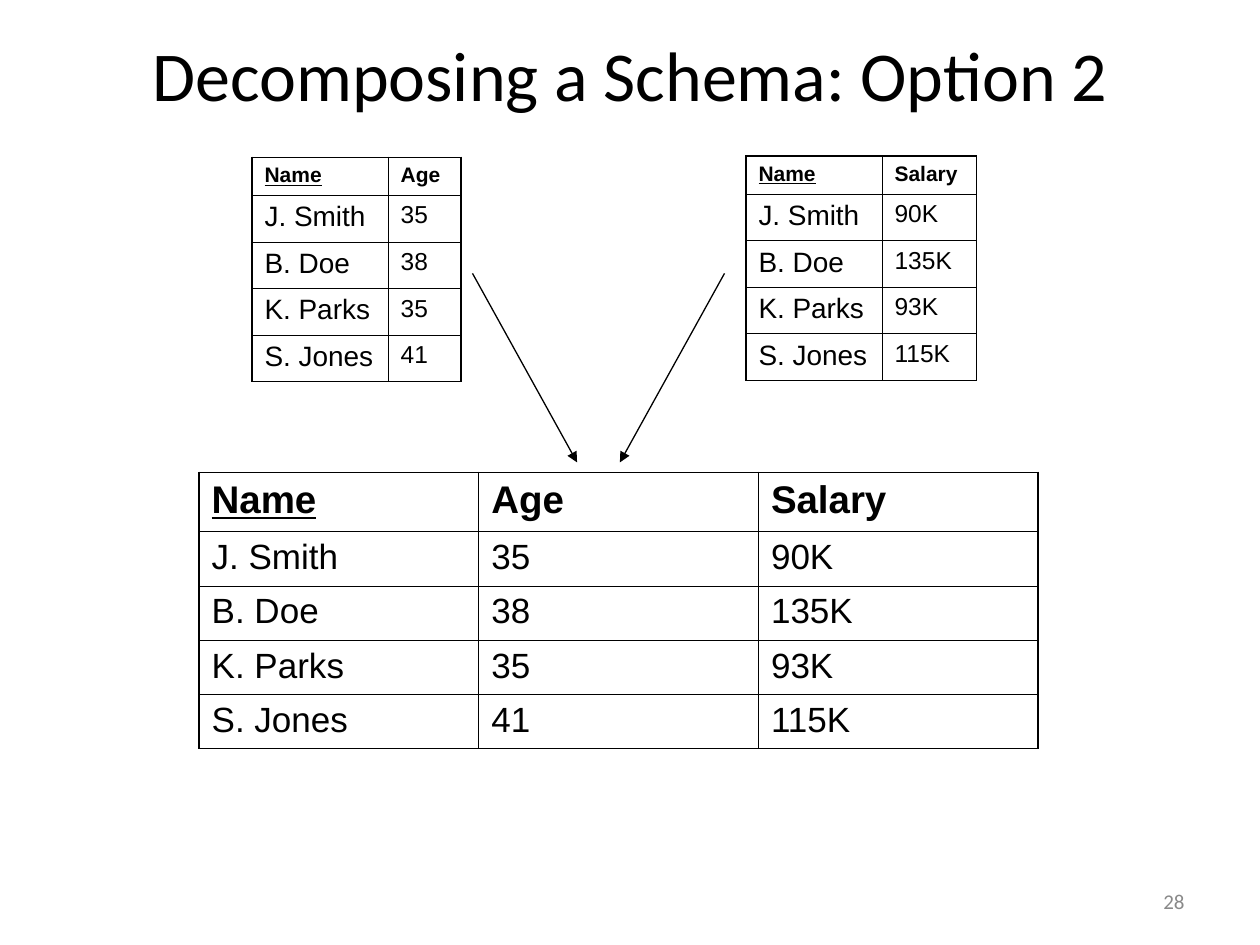
from lxml import etree
from pptx import Presentation
from pptx.dml.color import RGBColor
from pptx.enum import shapes, text
from pptx.oxml import ns
from pptx.util import Inches, Pt

BLACK, GREY = "000000", "898989"
OUTER, INNER = Pt(1.08), Pt(0.45)

PEOPLE = [
    ("Name", "Age", "Salary"),
    ("J. Smith", "35", "90K"),
    ("B. Doe", "38", "135K"),
    ("K. Parks", "35", "93K"),
    ("S. Jones", "41", "115K"),
]


def color(value):
    return RGBColor.from_string(value)


def project(*fields):
    """Keep only the named columns of the people relation."""
    columns = [PEOPLE[0].index(field) for field in fields]
    return [[row[i] for i in columns] for row in PEOPLE]


def add_run(paragraph, words, size, face, fill=BLACK):
    run = paragraph.add_run()
    run.text = words
    run.font.size = Pt(size)
    run.font.name = face
    run.font.color.rgb = color(fill)
    return run


def set_borders(cell, widths):
    """Draw black cell edges; widths are given left, right, top, bottom."""
    properties = cell._tc.get_or_add_tcPr()
    for position, (side, width) in enumerate(zip("LRTB", widths)):
        edge = etree.Element(ns.qn(f"a:ln{side}"), w=str(int(width)))
        fill = etree.SubElement(edge, ns.qn("a:solidFill"))
        etree.SubElement(fill, ns.qn("a:srgbClr"), val=BLACK)
        properties.insert(position, edge)


def add_relation(slide, left, top, rows, widths, heights, header_size, body_sizes):
    """Place a relation with a bold header row and an underlined key."""
    last_row, last_column = len(rows) - 1, len(widths) - 1
    header_height, body_height = heights
    table = slide.shapes.add_table(
        len(rows), len(widths), Inches(left), Inches(top), Inches(sum(widths)),
        Inches(header_height + last_row * body_height)).table
    table.first_row = table.horz_banding = False
    for column, width in zip(table.columns, widths):
        column.width = Inches(width)
    for r, values in enumerate(rows):
        is_header = r == 0
        table.rows[r].height = Inches(header_height if is_header else body_height)
        for c, value in enumerate(values):
            cell = table.cell(r, c)
            cell.fill.background()
            set_borders(cell, [OUTER if at_edge else INNER for at_edge in
                               (c == 0, c == last_column, is_header, r == last_row)])
            size = header_size if is_header else body_sizes[c]
            paragraph = cell.text_frame.paragraphs[0]
            paragraph.space_before = Pt(size / 4)
            run = add_run(paragraph, value, size, "Arial")
            run.font.bold = is_header
            run.font.underline = is_header and c == 0


def add_arrow(slide, start, end):
    arrow = slide.shapes.add_connector(
        shapes.MSO_CONNECTOR.STRAIGHT, *map(Inches, start + end))
    arrow.line.color.rgb = color(BLACK)
    arrow.line.width = Pt(0.75)
    etree.SubElement(arrow.line._get_or_add_ln(), ns.qn("a:tailEnd"), type="triangle")
    etree.SubElement(arrow._element.spPr, ns.qn("a:effectLst"))


def set_title(slide, left, top, width, height, words):
    title = slide.shapes.title
    title.left, title.top, title.width, title.height = map(
        Inches, (left, top, width, height))
    title.text_frame.vertical_anchor = text.MSO_ANCHOR.MIDDLE
    paragraph = title.text_frame.paragraphs[0]
    paragraph.alignment = text.PP_ALIGN.CENTER
    add_run(paragraph, words, 40, "Calibri")


def add_page_number(slide, left, top, width, height, number):
    frame = slide.shapes.add_textbox(
        *map(Inches, (left, top, width, height))).text_frame
    frame.word_wrap = True
    frame.vertical_anchor = text.MSO_ANCHOR.MIDDLE
    paragraph = frame.paragraphs[0]
    paragraph.alignment = text.PP_ALIGN.RIGHT
    add_run(paragraph, number, 12, "Calibri", GREY)


def main():
    deck = Presentation()
    deck.slide_width, deck.slide_height = Inches(10), Inches(7.5)
    slide = deck.slides.add_slide(deck.slide_layouts[5])

    set_title(slide, 0.5, 0.08, 9, 1, "Decomposing a Schema: Option 2")
    add_relation(slide, 1.58, 3.75, PEOPLE, [2.22] * 3, (0.47, 0.43), 22, [20] * 3)
    add_arrow(slide, (3.75, 2.17), (4.58, 3.67))
    add_arrow(slide, (5.75, 2.17), (4.92, 3.67))
    add_relation(slide, 2, 1.25, project("Name", "Age"), [1.08, 0.58],
                 (0.3, 0.37), 12, [16, 14])
    add_relation(slide, 5.92, 1.24, project("Name", "Salary"), [1.08, 0.75],
                 (0.3, 0.37), 12, [16, 14])
    add_page_number(slide, 7.17, 6.95, 2.33, 0.4, "28")
    deck.save("out.pptx")


if __name__ == "__main__":
    main()
